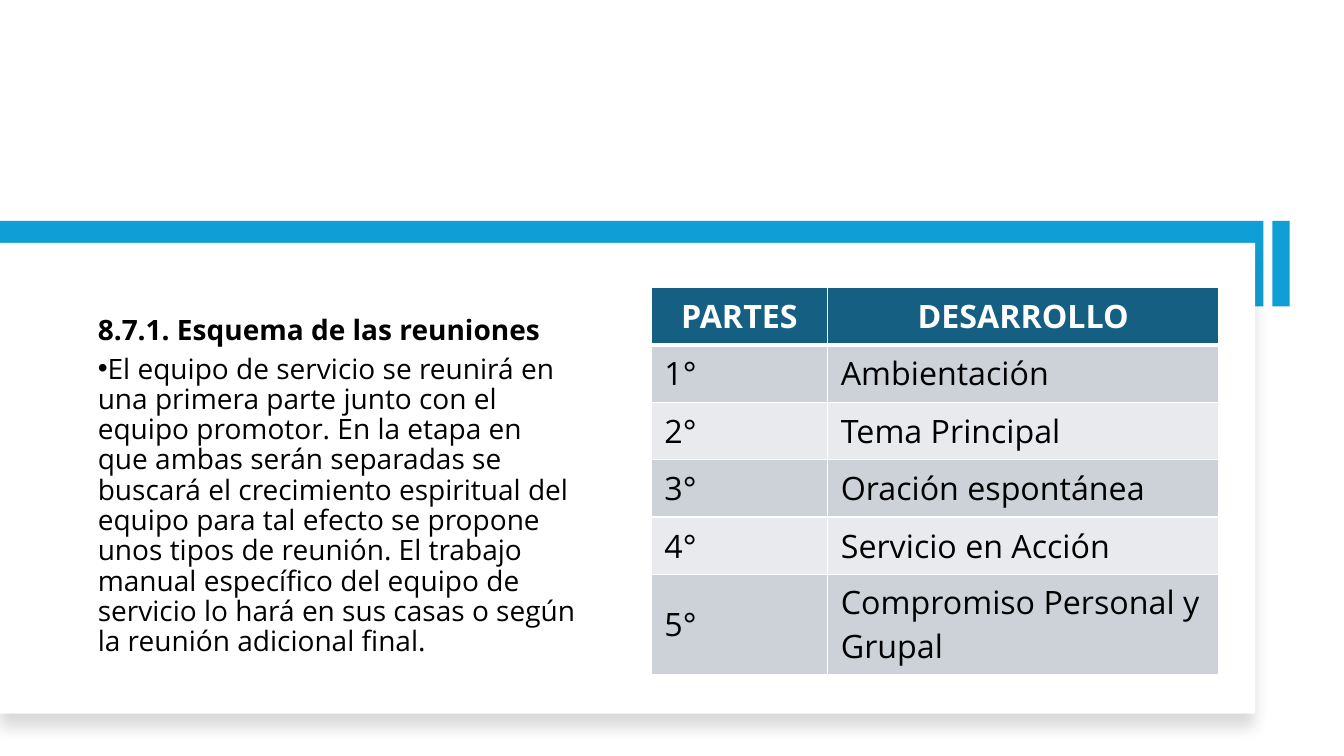
from lxml import etree
from pptx import Presentation
from pptx.dml.color import RGBColor
from pptx.enum.shapes import MSO_SHAPE
from pptx.enum.text import MSO_ANCHOR, MSO_AUTO_SIZE, PP_ALIGN
from pptx.oxml.ns import qn
from pptx.util import Inches, Pt

RECTANGLE = MSO_SHAPE.RECTANGLE
MIDDLE = MSO_ANCHOR.MIDDLE
SHRINK = MSO_AUTO_SIZE.TEXT_TO_FIT_SHAPE
LEFT, CENTER = PP_ALIGN.LEFT, PP_ALIGN.CENTER

BLACK = RGBColor(0x00, 0x00, 0x00)
WHITE = RGBColor(0xFF, 0xFF, 0xFF)
BLUE = RGBColor(0x0F, 0x9E, 0xD5)
TEAL = RGBColor(0x15, 0x60, 0x82)
GRAY = RGBColor(0xCC, 0xD2, 0xD8)
PALE_GRAY = RGBColor(0xE8, 0xEA, 0xED)

HEADING = "8.7.1. Esquema de las reuniones"
EXPLANATION = (
    "El equipo de servicio se reunirá en una primera parte junto con el equipo "
    "promotor. En la etapa en que ambas serán separadas se buscará el crecimiento "
    "espiritual del equipo para tal efecto se propone unos tipos de reunión. El "
    "trabajo manual específico del equipo de servicio lo hará en sus casas o según "
    "la reunión adicional final."
)
MEETING_PARTS = [
    ("PARTES", "DESARROLLO"),
    ("1°", "Ambientación"),
    ("2°", "Tema Principal"),
    ("3°", "Oración espontánea"),
    ("4°", "Servicio en Acción"),
    ("5°", "Compromiso Personal y Grupal"),
]


def add_xml(parent, tag, **attributes):
    return etree.SubElement(parent, qn(tag), {k: str(v) for k, v in attributes.items()})


def write(paragraph, text, *, size, color=BLACK, bold=False, align=LEFT, font="Open Sans"):
    paragraph.alignment = align
    run = paragraph.add_run()
    run.text = text
    run.font.name = font
    run.font.size = Pt(size)
    run.font.bold = bold
    run.font.color.rgb = color


class MeetingSlide:
    def __init__(self, presentation):
        self.slide = presentation.slides.add_slide(presentation.slide_layouts[1])
        self.shapes = self.slide.shapes
        title = self.shapes.title.element
        title.getparent().remove(title)

    def rectangle(self, left, top, width, height, fill, rotation=0):
        box = self.shapes.add_shape(
            RECTANGLE, Inches(left), Inches(top), Inches(width), Inches(height))
        box.fill.solid()
        box.fill.fore_color.rgb = fill
        box.line.fill.background()
        box.shadow.inherit = False
        box.rotation = rotation
        return box

    def drop_shadow(self, box, *, opacity, blur, distance, angle):
        effects = box.element.spPr.find(qn("a:effectLst"))
        shadow = add_xml(effects, "a:outerShdw", blurRad=Pt(blur), dist=Pt(distance),
                         dir=angle * 60000, algn="t", rotWithShape=0)
        color = add_xml(shadow, "a:srgbClr", val=BLACK)
        add_xml(color, "a:alpha", val=opacity * 1000)

    def body(self, left, top, width, height, heading, explanation):
        body = self.slide.placeholders[1]
        body.left, body.top = Inches(left), Inches(top)
        body.width, body.height = Inches(width), Inches(height)
        # Bring the text in front of the panel drawn before it
        body.element.getparent().append(body.element)
        frame = body.text_frame
        frame.word_wrap = True
        frame.vertical_anchor = MIDDLE
        frame.auto_size = SHRINK
        write(frame.paragraphs[0], heading, size=20, bold=True)
        write(frame.add_paragraph(), explanation, size=20)
        for paragraph, indent, bullet in zip(frame.paragraphs, (0, -0.25), (None, "•")):
            paragraph.line_spacing = 0.9
            paragraph.space_before = Pt(0)
            paragraph.space_after = Pt(6)
            properties = paragraph._p.get_or_add_pPr()
            properties.set("marL", "0")
            properties.set("indent", str(Inches(indent)))
            if bullet:
                add_xml(properties, "a:buFont", typeface="Arial")
                add_xml(properties, "a:buChar", char=bullet)
            else:
                add_xml(properties, "a:buNone")

    def cell_borders(self, cell, bottom):
        properties = cell._tc.get_or_add_tcPr()
        sides = {"a:lnL": 1, "a:lnR": 1, "a:lnT": 1, "a:lnB": bottom}
        for position, (tag, width) in enumerate(sides.items()):
            line = add_xml(properties, tag, w=Pt(width))
            add_xml(add_xml(line, "a:solidFill"), "a:srgbClr", val=WHITE)
            properties.insert(position, line)

    def table(self, left, top, column_widths, row_heights, rows):
        table = self.shapes.add_table(
            len(rows), len(column_widths), Inches(left), Inches(top),
            Inches(sum(column_widths)), Inches(sum(row_heights))).table
        for column, width in zip(table.columns, column_widths):
            column.width = Inches(width)
        for row, height in zip(table.rows, row_heights):
            row.height = Inches(height)
        for r, texts in enumerate(rows):
            header = r == 0
            fill = TEAL if header else (GRAY if r % 2 else PALE_GRAY)
            for c, text in enumerate(texts):
                cell = table.cell(r, c)
                cell.fill.solid()
                cell.fill.fore_color.rgb = fill
                cell.vertical_anchor = MIDDLE
                cell.margin_left = cell.margin_right = Inches(0.13)
                cell.margin_top = cell.margin_bottom = Inches(0.06)
                write(cell.text_frame.paragraphs[0], text, size=23, bold=header,
                      color=WHITE if header else BLACK, align=CENTER if header else LEFT)
                self.cell_borders(cell, bottom=3 if header else 1)


def main():
    presentation = Presentation()
    presentation.slide_width, presentation.slide_height = Inches(13.33), Inches(7.5)
    page = MeetingSlide(presentation)
    page.rectangle(0, 2.19, 12.53, 0.85, BLUE)
    panel = page.rectangle(0, 2.41, 12.45, 4.67, WHITE)
    page.drop_shadow(panel, opacity=15, blur=11, distance=10, angle=90)
    page.body(0.87, 2.84, 4.96, 3.98, HEADING, EXPLANATION)
    page.rectangle(12.28, 2.53, 0.85, 0.17, BLUE, rotation=90)
    page.table(6.46, 2.85, (1.75, 3.88), [0.57] * 5 + [0.95], MEETING_PARTS)
    presentation.save("out.pptx")


if __name__ == "__main__":
    main()
